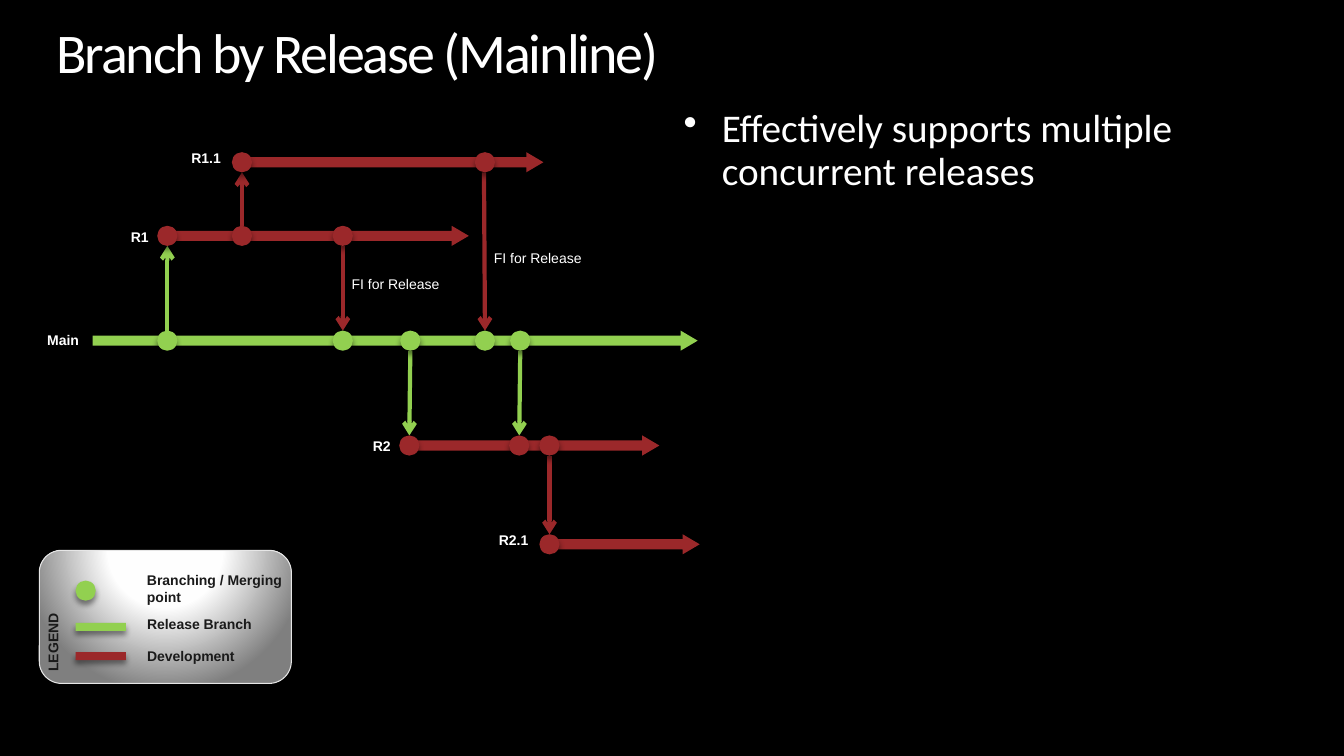
"""Build the "Branch by Release (Mainline)" slide."""
from dataclasses import dataclass

from lxml import etree
from pptx import Presentation
from pptx.dml.color import RGBColor
from pptx.enum.shapes import MSO_CONNECTOR, MSO_SHAPE
from pptx.enum.text import MSO_ANCHOR, MSO_AUTO_SIZE, PP_ALIGN
from pptx.oxml import parse_xml
from pptx.oxml.ns import nsdecls, qn
from pptx.util import Inches, Pt

STRAIGHT = MSO_CONNECTOR.STRAIGHT
DOT, BAR = MSO_SHAPE.FLOWCHART_CONNECTOR, MSO_SHAPE.RECTANGLE
ARROW, PANEL = MSO_SHAPE.RIGHT_ARROW, MSO_SHAPE.ROUNDED_RECTANGLE
TOP, LEFT = MSO_ANCHOR.TOP, PP_ALIGN.LEFT
GROW = MSO_AUTO_SIZE.SHAPE_TO_FIT_TEXT
TITLE_ONLY = 5
THICKNESS = 0.2
COLORS = {
    "background": "000000",
    "white": "FFFFFF",
    "ink": "1A1A1A",
    "release": "92D050",
    "development": "9B282A",
    "panel_line": "E6E6E6",
    "panel_middle": "FEFEFE",
    "panel_edge": "7F7F7F",
}


@dataclass
class Label:
    text: str
    left: float
    top: float
    width: float
    height: float = 0.27
    color: str = "white"
    bold: bool = True
    rotation: float = 0


@dataclass
class Branch:
    left: float
    top: float
    length: float
    color: str
    dots: tuple[float, ...]


@dataclass
class Link:
    start: str
    end: str
    start_x: float
    end_x: float
    color: str


@dataclass
class Key:
    kind: int
    top: float
    width: float
    height: float
    color: str


BRANCHES = {
    "Main": Branch(0.92, 3.28, 6, "release", (1.56, 3.3, 3.97, 4.71, 5.06)),
    "R1": Branch(1.65, 2.24, 3, "development", (1.56, 2.3, 3.3)),
    "R1.1": Branch(2.39, 1.51, 3, "development", (2.3, 4.71)),
    "R2": Branch(4.04, 4.32, 2.5, "development", (3.96, 5.05, 5.35)),
    "R2.1": Branch(5.44, 5.3, 1.5, "development", (5.35,)),
}
LINKS = [
    Link("Main", "R1", 1.66, 1.66, "release"),
    Link("R1", "R1.1", 2.4, 2.4, "development"),
    Link("R1", "Main", 3.4, 3.4, "development"),
    Link("R1.1", "Main", 4.8, 4.81, "development"),
    Link("Main", "R2", 4.07, 4.06, "release"),
    Link("Main", "R2", 5.16, 5.15, "release"),
    Link("R2", "R2.1", 5.45, 5.45, "development"),
]
KEYS = [
    Key(DOT, 5.76, 0.2, 0.2, "release"),
    Key(BAR, 6.18, 0.5, 0.08, "release"),
    Key(BAR, 6.47, 0.5, 0.08, "development"),
]
LABELS = [
    Label("Main", 0.37, 3.24, 0.52),
    Label("R1", 1.2, 2.22, 0.38),
    Label("R1.1", 1.8, 1.43, 0.5),
    Label("R2", 3.6, 4.29, 0.38),
    Label("R2.1", 4.85, 5.22, 0.5),
    Label("FI for Release", 3.39, 2.68, 1.08, bold=False),
    Label("FI for Release", 4.8, 2.43, 1.08, bold=False),
    Label("LEGEND", 0.13, 6.23, 0.79, color="ink", rotation=270),
    Label("Branching / Merging\npoint", 1.36, 5.62, 1.56, 0.44, "ink"),
    Label("Release Branch", 1.36, 6.06, 1.25, color="ink"),
    Label("Development", 1.36, 6.37, 1.08, color="ink"),
]


def rgb(name: str) -> RGBColor:
    return RGBColor.from_string(COLORS[name])


def add_shadow(shape) -> None:
    properties = shape.element.spPr
    effects = properties.find(qn("a:effectLst"))
    if effects is None:
        effects = etree.SubElement(properties, qn("a:effectLst"))
    effects.append(parse_xml(
        f'<a:outerShdw {nsdecls("a")} blurRad="{Pt(4)}" dist="{Pt(3)}" dir="5400000" rotWithShape="0">'
        '<a:srgbClr val="000000"><a:alpha val="43000"/></a:srgbClr></a:outerShdw>'))


def add_block(slide, kind: int, left: float, top: float, width: float, height: float, color: str):
    shape = slide.shapes.add_shape(kind, Inches(left), Inches(top), Inches(width), Inches(height))
    shape.fill.solid()
    shape.fill.fore_color.rgb = rgb(color)
    shape.line.fill.background()
    shape.shadow.inherit = False
    add_shadow(shape)
    return shape


def add_link(slide, link: Link) -> None:
    start, end = BRANCHES[link.start].top, BRANCHES[link.end].top
    if start < end:
        start += THICKNESS
    else:
        end += THICKNESS
    connector = slide.shapes.add_connector(
        STRAIGHT, Inches(link.start_x), Inches(start), Inches(link.end_x), Inches(end))
    connector.line.color.rgb = rgb(link.color)
    connector.line.width = Pt(3)
    etree.SubElement(connector.line._get_or_add_ln(), qn("a:tailEnd"), type="arrow")
    add_shadow(connector)


def style_text(paragraph, size: float, font_name: str, color: str, bold: bool = False) -> None:
    paragraph.alignment = LEFT
    paragraph.font.size = Pt(size)
    paragraph.font.name = font_name
    paragraph.font.bold = bold
    paragraph.font.color.rgb = rgb(color)


def add_label(slide, label: Label) -> None:
    box = slide.shapes.add_textbox(
        Inches(label.left), Inches(label.top), Inches(label.width), Inches(label.height))
    box.rotation = label.rotation
    box.text_frame.word_wrap = False
    box.text_frame.auto_size = GROW
    box.text_frame.text = label.text
    for paragraph in box.text_frame.paragraphs:
        style_text(paragraph, 10, "Arial", label.color, label.bold)


def fill_heading(shape, text: str, left: float, top: float, width: float, height: float, size: float):
    shape.left, shape.top = Inches(left), Inches(top)
    shape.width, shape.height = Inches(width), Inches(height)
    frame = shape.text_frame
    frame.margin_left = frame.margin_top = frame.margin_right = frame.margin_bottom = 0
    frame.word_wrap = True
    frame.auto_size = GROW
    frame.vertical_anchor = TOP
    frame.text = text
    paragraph = frame.paragraphs[0]
    paragraph.line_spacing = 0.9
    style_text(paragraph, size, "Calibri", "white")
    return paragraph


def add_panel(slide) -> None:
    panel = add_block(slide, PANEL, 0.39, 5.46, 2.5, 1.32, "white")
    panel.line.color.rgb = rgb("panel_line")
    panel.line.width = Pt(0.75)
    stops = "".join(
        f'<a:gs pos="{position}"><a:srgbClr val="{COLORS[name]}"/></a:gs>'
        for position, name in ((0, "white"), (40000, "panel_middle"), (100000, "panel_edge")))
    gradient = parse_xml(
        f'<a:gradFill {nsdecls("a")} rotWithShape="1"><a:gsLst>{stops}</a:gsLst><a:path path="circle">'
        '<a:fillToRect l="50000" t="-80000" r="50000" b="180000"/></a:path></a:gradFill>')
    properties = panel.element.spPr
    properties.replace(properties.find(qn("a:solidFill")), gradient)


def main() -> None:
    presentation = Presentation()
    presentation.slide_width, presentation.slide_height = Inches(13.33), Inches(7.5)
    slide = presentation.slides.add_slide(presentation.slide_layouts[TITLE_ONLY])
    slide.background.fill.solid()
    slide.background.fill.fore_color.rgb = rgb("background")

    title = slide.shapes.title
    fill_heading(title, "Branch by Release (Mainline)", 0.56, 0.25, 12.22, 0.61, 40)
    for properties in title.element.iter(qn("a:defRPr")):
        properties.set("spc", "-150")

    body = slide.shapes.add_textbox(0, 0, 0, 0)
    point = fill_heading(
        body, "Effectively supports multiple concurrent releases", 6.78, 1.08, 6, 0.85, 28)
    point.space_before = Pt(5.6)
    properties = point._p.get_or_add_pPr()
    properties.set("marL", str(Inches(0.38)))
    properties.set("indent", str(Inches(-0.38)))
    properties.find(qn("a:defRPr")).addprevious(parse_xml(f'<a:buChar {nsdecls("a")} char="•"/>'))

    add_panel(slide)
    for key in KEYS:
        add_block(slide, key.kind, 0.75, key.top, key.width, key.height, key.color)
    for branch in BRANCHES.values():
        arrow = add_block(slide, ARROW, branch.left, branch.top, branch.length, THICKNESS, branch.color)
        arrow.adjustments[1] = 0.85
    for link in LINKS:
        add_link(slide, link)
    for branch in BRANCHES.values():
        for left in branch.dots:
            add_block(slide, DOT, left, branch.top, THICKNESS, THICKNESS, branch.color)
    for label in LABELS:
        add_label(slide, label)
    presentation.save("out.pptx")


if __name__ == "__main__":
    main()
